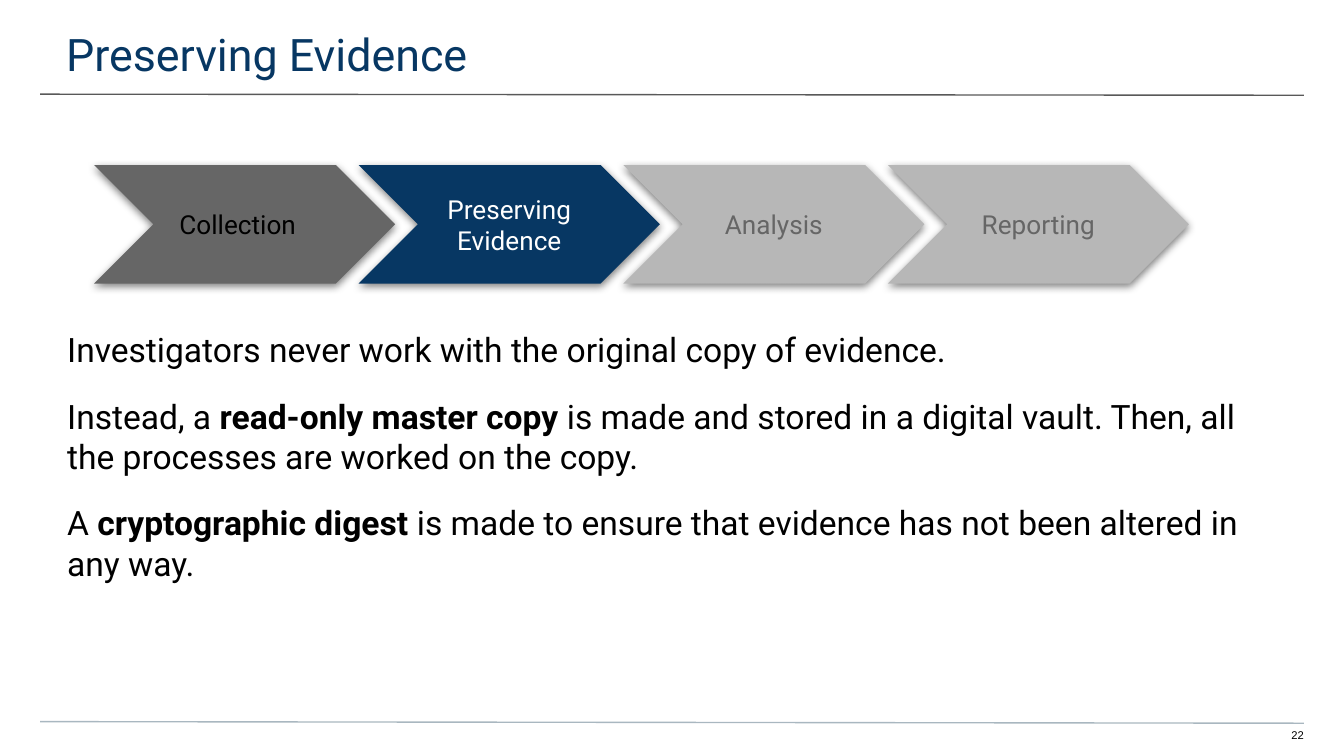
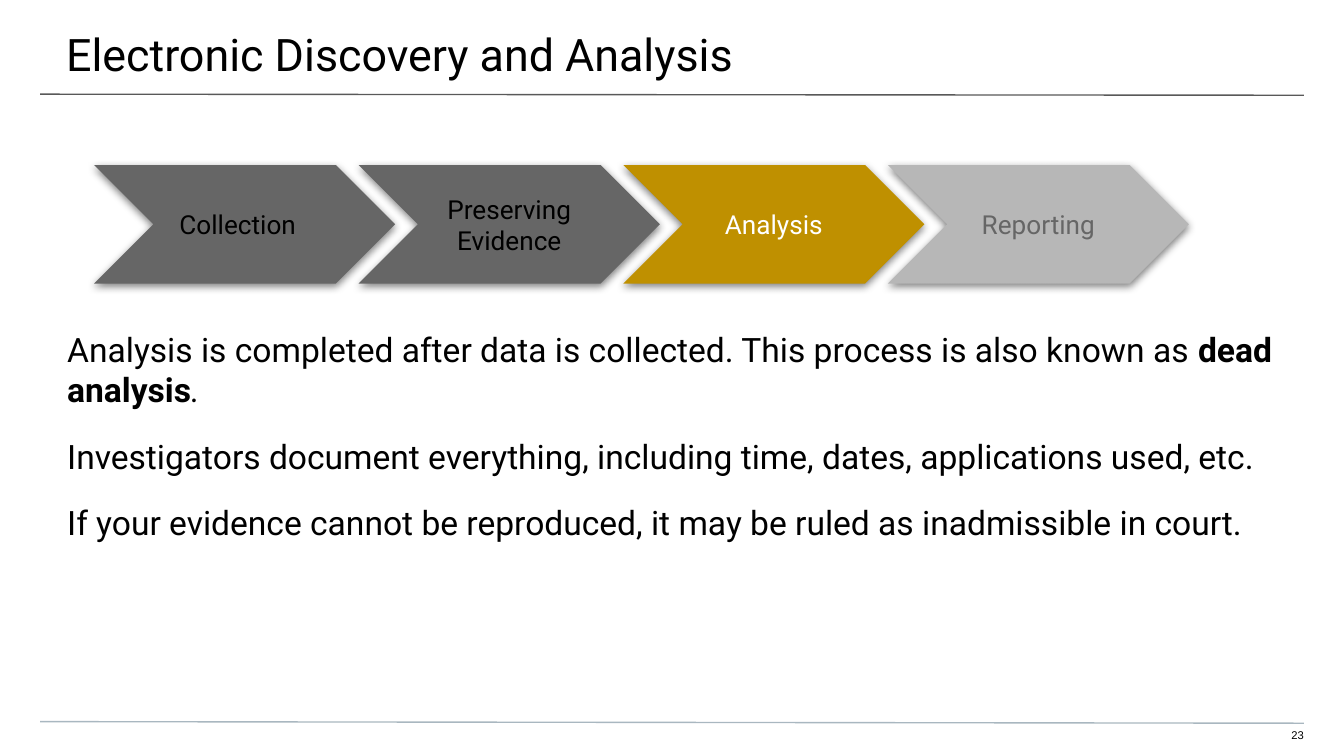
"""Build two slides on the stages of a digital forensics investigation."""
from lxml.etree import SubElement
from pptx import Presentation
from pptx.dml.color import RGBColor
from pptx.enum.shapes import MSO_CONNECTOR as CONN, MSO_SHAPE as SHAPE
from pptx.enum.text import MSO_ANCHOR as ANCHOR, PP_ALIGN as ALIGN
from pptx.oxml.ns import qn
from pptx.util import Cm, Pt

FONT = "Roboto"
BLACK, WHITE, NAVY, GOLD = "000000", "FFFFFF", "073763", "BF9000"
DONE, TODO = ("666666", BLACK), ("B7B7B7", "666666")
STAGES = [("Collection", 0.51), ("Preserving Evidence", 0.25), ("Analysis", 0.25), ("Reporting", 0.25)]
RULES = [(1.78, 1.8, "595959"), (13.64, 13.67, "A9B7C0")]
SLIDES = [
    {"title": "Preserving Evidence", "color": NAVY, "number": 22, "stage": 1, "accent": NAVY,
     "body": [
         [("Investigators never work with the original copy of evidence.", "")],
         [("Instead, a ", ""), ("read-only master copy", "b"),
          (" is made and stored in a digital vault. Then, all the processes are worked on the copy.", "")],
         [("A ", ""), ("cryptographic digest", "b"),
          (" is made to ensure that evidence has not been altered in any way.", "")],
     ]},
    {"title": "Electronic Discovery and Analysis", "color": BLACK, "number": 23, "stage": 2, "accent": GOLD,
     "body": [
         [("Analysis is completed after data is collected. This process is also known as ", ""),
          ("dead analysis", "b"), (".", "i")],
         [("Investigators document everything, including time, dates, applications used, etc.", "")],
         [("If your evidence cannot be reproduced, it may be ruled as inadmissible in court.", "")],
     ]},
]
STAGE_LEFT, STAGE_TOP, STAGE_W, STAGE_H, STAGE_STEP = 1.78, 3.12, 5.69, 2.24, 5.0


def rgb(color):
    return RGBColor.from_string(color)


def set_insets(tf, left, top, right, bottom):
    tf.word_wrap = True
    tf.margin_left, tf.margin_top = Cm(left), Cm(top)
    tf.margin_right, tf.margin_bottom = Cm(right), Cm(bottom)


def style(font, size, color, name=FONT):
    font.name, font.size, font.color.rgb = name, Pt(size), rgb(color)


def add_text(s, box, insets, paragraphs, size, color, name=FONT, align=ALIGN.LEFT):
    tf = s.shapes.add_textbox(*map(Cm, box)).text_frame
    set_insets(tf, *insets)
    for i, parts in enumerate(paragraphs):
        p = tf.add_paragraph() if i else tf.paragraphs[0]
        p.alignment = align
        if i:
            p.space_before = Pt(14)
        for text, mark in parts:
            r = p.add_run()
            r.text = text
            style(r.font, size, color, name)
            r.font.bold, r.font.italic = mark == "b", mark == "i"


def add_rule(s, y1, y2, color):
    line = s.shapes.add_connector(CONN.STRAIGHT, Cm(0.76), Cm(y1), Cm(24.64), Cm(y2))
    line.line.color.rgb, line.line.width = rgb(color), Pt(0.75)
    SubElement(line._element.spPr, qn("a:effectLst"))


def add_shadow(sp):
    sp.shadow.inherit = False
    effects = sp._element.spPr.find(qn("a:effectLst"))
    shadow = SubElement(effects, qn("a:outerShdw"), blurRad=str(Pt(4.5)), dist=str(Pt(1.5)),
                        dir="5400000", algn="bl", rotWithShape="0")
    tint = SubElement(shadow, qn("a:srgbClr"), val=BLACK)
    SubElement(tint, qn("a:alpha"), val="50000")


def add_stages(s, current, accent):
    for i, (label, right) in enumerate(STAGES):
        fill, color = (accent, WHITE) if i == current else DONE if i < current else TODO
        sp = s.shapes.add_shape(SHAPE.CHEVRON, Cm(STAGE_LEFT + i * STAGE_STEP), Cm(STAGE_TOP),
                                Cm(STAGE_W), Cm(STAGE_H))
        sp.fill.solid()
        sp.fill.fore_color.rgb = rgb(fill)
        sp.line.fill.background()
        add_shadow(sp)
        tf = sp.text_frame
        set_insets(tf, 0.25, 0.25, right, 0.25)
        tf.vertical_anchor = ANCHOR.MIDDLE
        tf.text = label
        p = tf.paragraphs[0]
        p.alignment = ALIGN.CENTER
        style(p.runs[0].font, 14, color)


def add_slide(prs, data):
    s = prs.slides.add_slide(prs.slide_layouts[6])
    for rule in RULES:
        add_rule(s, *rule)
    add_text(s, (0, 0, 25.4, 1.47), (1.25, 0.51, 0.76, 0.25), [[(data["title"], "")]], 24, data["color"])
    add_text(s, (0, 5.97, 25.4, 7.06), (1.27, 0.25, 1.27, 0), data["body"], 18, BLACK)
    add_text(s, (23.9, 13.77, 0.74, 0.3), (0, 0, 0, 0.25), [[(str(data["number"]), "")]],
             6, BLACK, "Arial", ALIGN.RIGHT)
    add_stages(s, data["stage"], data["accent"])


def main():
    prs = Presentation()
    prs.slide_width, prs.slide_height = Cm(25.4), Cm(14.29)
    for data in SLIDES:
        add_slide(prs, data)
    prs.save("out.pptx")


if __name__ == "__main__":
    main()
